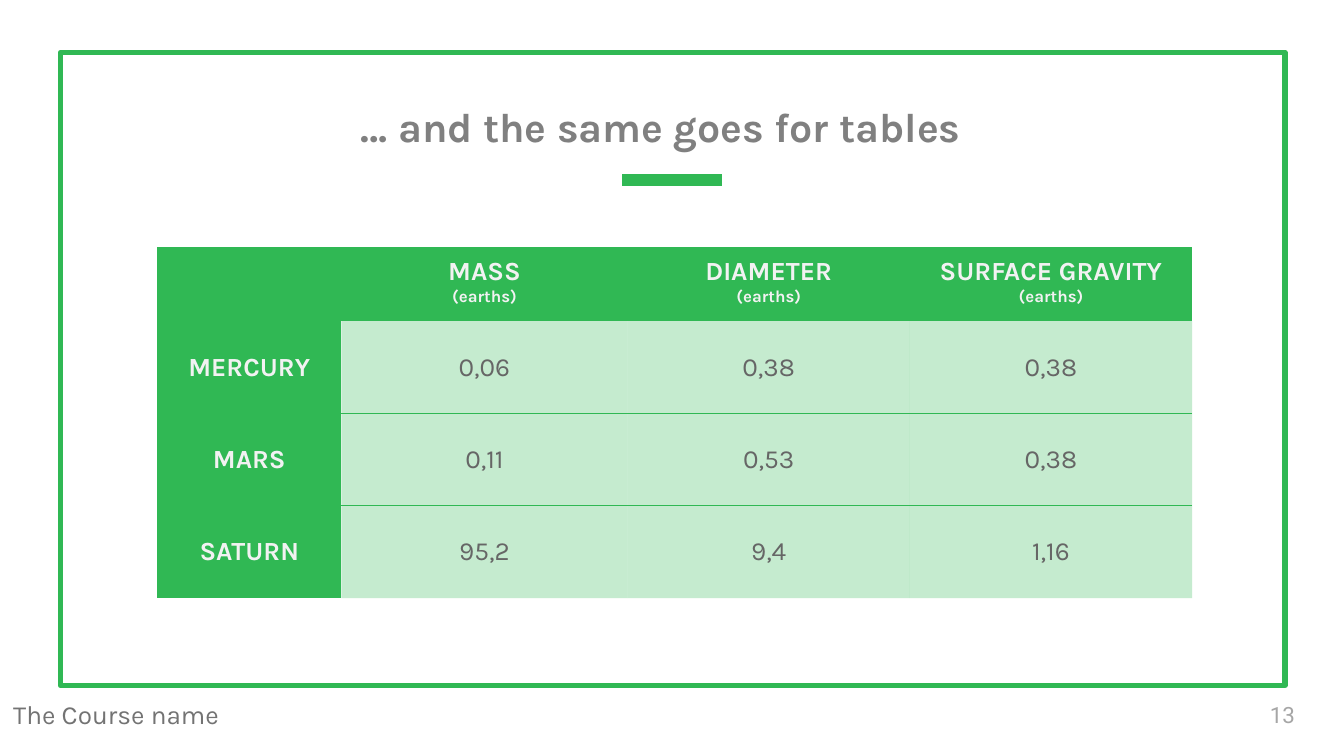
from dataclasses import dataclass

from lxml.etree import SubElement
from pptx import Presentation
from pptx.dml.color import RGBColor
from pptx.enum.shapes import MSO_CONNECTOR, MSO_SHAPE
from pptx.enum.text import MSO_ANCHOR, PP_ALIGN
from pptx.oxml.ns import qn
from pptx.shapes.autoshape import Shape
from pptx.slide import Slide
from pptx.table import Table, _Cell
from pptx.text.text import TextFrame
from pptx.util import Inches, Pt

COLORS = {
    "green": "30B854",
    "pale": "F2F2F2",
    "body": "666666",
    "title": "808080",
    "footer": "737373",
    "number": "A6A6A6",
}


@dataclass
class Style:
    size: float
    color: str
    bold: bool = False
    face: str = "Karla"
    align: PP_ALIGN = PP_ALIGN.CENTER


@dataclass
class Label:
    text: str
    box: tuple[float, float, float, float]
    style: Style
    anchor: MSO_ANCHOR
    inset: float = 0.1


HEAD = Style(14, "pale", True)
UNIT = Style(9, "pale", True)
BODY = Style(14, "body")
LEFT = PP_ALIGN.LEFT

LABELS = [
    Label("The Course name", (0, 5.15, 2.55, 0.34),
          Style(14, "footer", align=LEFT), MSO_ANCHOR.TOP, 0.05),
    Label("… and the same goes for tables", (1.29, 0.62, 7.25, 0.6),
          Style(22, "title", True), MSO_ANCHOR.BOTTOM),
    Label("13", (9.35, 5.1, 0.6, 0.43),
          Style(12, "number", face="Roboto", align=LEFT), MSO_ANCHOR.MIDDLE),
]

HEADS = ["MASS", "DIAMETER", "SURFACE GRAVITY"]
PLANETS = {
    "MERCURY": ["0,06", "0,38", "0,38"],
    "MARS": ["0,11", "0,53", "0,38"],
    "SATURN": ["95,2", "9,4", "1,16"],
}
WIDTHS = [1.37, 2.13, 2.1, 2.1]
TALL, TOP = 2.61, 0.55
HEIGHTS = [TOP] + [(TALL - TOP) / len(PLANETS)] * len(PLANETS)


def tint(name: str) -> RGBColor:
    return RGBColor.from_string(COLORS[name])


def write(frame: TextFrame, lines: list[tuple[str, Style]]) -> None:
    for i, (text, style) in enumerate(lines):
        para = frame.add_paragraph() if i else frame.paragraphs[0]
        para.text = text
        para.alignment = style.align
        para.font.name = style.face
        para.font.size = Pt(style.size)
        para.font.bold = style.bold
        para.font.color.rgb = tint(style.color)


def add_label(slide: Slide, label: Label) -> None:
    frame = slide.shapes.add_textbox(*map(Inches, label.box)).text_frame
    frame.word_wrap = True
    frame.vertical_anchor = label.anchor
    frame.margin_left = frame.margin_right = Inches(0.1)
    frame.margin_top = frame.margin_bottom = Inches(label.inset)
    write(frame, [(label.text, label.style)])


def add_frame(slide: Slide) -> Shape:
    box = map(Inches, (0.45, 0.39, 9.11, 4.71))
    shape = slide.shapes.add_shape(MSO_SHAPE.RECTANGLE, *box)
    shape.shadow.inherit = False
    shape.fill.background()
    shape.line.color.rgb = tint("green")
    shape.line.width = Pt(3)
    return shape


def add_rule(slide: Slide) -> None:
    ends = map(Inches, (4.63, 1.34, 5.37, 1.34))
    rule = slide.shapes.add_connector(MSO_CONNECTOR.STRAIGHT, *ends)
    rule.line.color.rgb = tint("green")
    rule.line.width = Pt(6)
    SubElement(rule._element.spPr, qn("a:effectLst"))


def set_edges(cell: _Cell, shown: str) -> None:
    props = cell._tc.get_or_add_tcPr()
    for side in "LRTB":
        edge = SubElement(props, qn(f"a:ln{side}"), w=str(Pt(0.75)))
        if side in shown:
            fill = SubElement(edge, qn("a:solidFill"))
            SubElement(fill, qn("a:srgbClr"), val=COLORS["green"])
        else:
            SubElement(edge, qn("a:noFill"))


def set_cell(cell: _Cell, lines: list[tuple[str, Style]],
             anchor: MSO_ANCHOR, edges: str = "", alpha: int = 100) -> None:
    set_edges(cell, edges)
    cell.fill.solid()
    cell.fill.fore_color.rgb = tint("green")
    if alpha < 100:
        color = cell._tc.tcPr.find(qn("a:solidFill")).find(qn("a:srgbClr"))
        SubElement(color, qn("a:alpha"), val=str(alpha * 1000))
    cell.vertical_anchor = anchor
    cell.margin_left = cell.margin_right = Inches(0.1)
    cell.margin_top = cell.margin_bottom = Inches(0.07)
    write(cell.text_frame, lines)


def fill_table(table: Table) -> None:
    set_cell(table.cell(0, 0), [], MSO_ANCHOR.TOP)
    for col, head in enumerate(HEADS, 1):
        lines = [(head, HEAD), ("(earths)", UNIT)]
        set_cell(table.cell(0, col), lines, MSO_ANCHOR.TOP)
    for row, (planet, values) in enumerate(PLANETS.items(), 1):
        set_cell(table.cell(row, 0), [(planet, HEAD)], MSO_ANCHOR.MIDDLE)
        edges = ("T" if row > 1 else "") + ("B" if row < len(PLANETS) else "")
        for col, value in enumerate(values, 1):
            set_cell(table.cell(row, col), [(value, BODY)],
                     MSO_ANCHOR.MIDDLE, edges, 28)


def add_grid(slide: Slide) -> None:
    box = map(Inches, (1.17, 1.84, sum(WIDTHS), TALL))
    table = slide.shapes.add_table(len(HEIGHTS), len(WIDTHS), *box).table
    table.first_row = table.horz_banding = False
    for column, width in zip(table.columns, WIDTHS):
        column.width = Inches(width)
    for row, height in zip(table.rows, HEIGHTS):
        row.height = Inches(height)
    fill_table(table)


def main() -> None:
    deck = Presentation()
    deck.slide_width = Inches(10)
    deck.slide_height = Inches(10 * 9 / 16)
    slide = deck.slides.add_slide(deck.slide_layouts[6])
    add_frame(slide)
    add_rule(slide)
    add_grid(slide)
    for label in LABELS:
        add_label(slide, label)
    deck.save("out.pptx")


if __name__ == "__main__":
    main()
